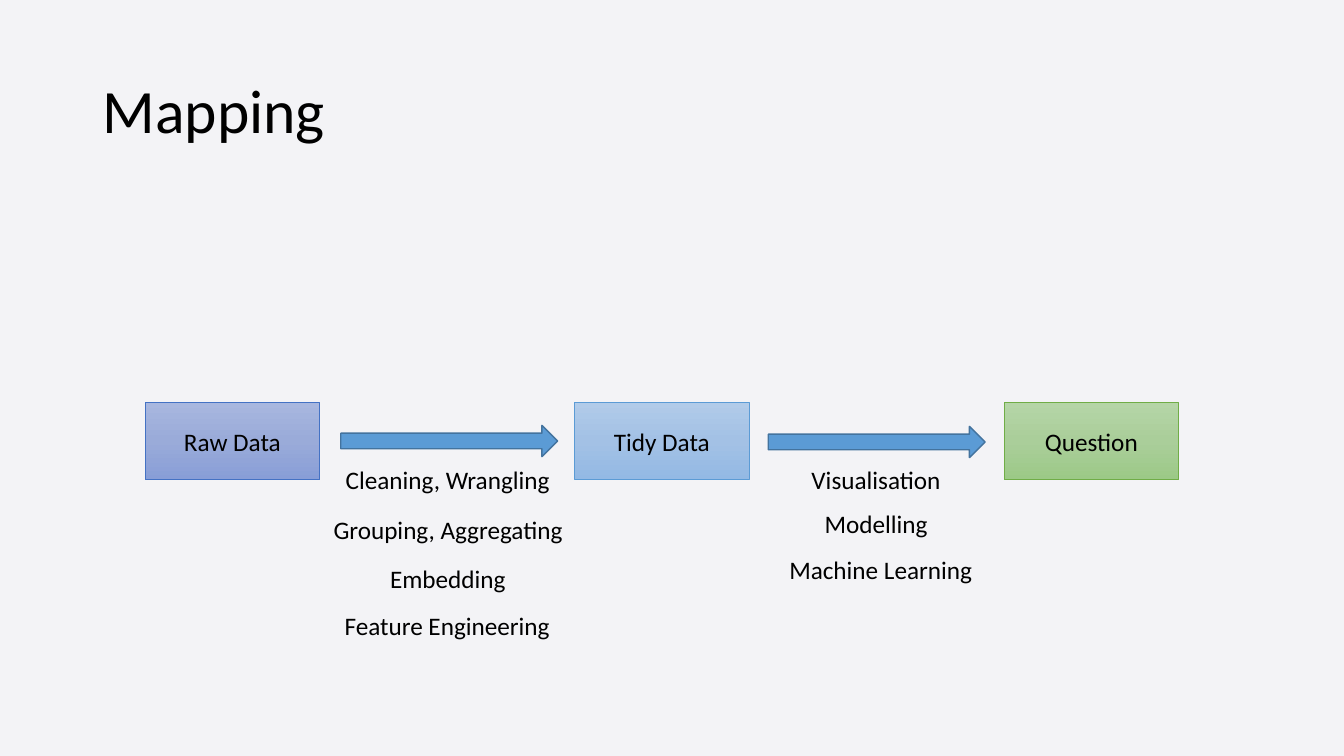
from copy import deepcopy
from dataclasses import dataclass

from pptx import Presentation
from pptx.dml.color import RGBColor
from pptx.enum.shapes import MSO_SHAPE
from pptx.enum.text import MSO_ANCHOR, MSO_AUTO_SIZE, PP_ALIGN
from pptx.oxml.ns import qn
from pptx.util import Inches, Pt

RECT, ARROW = MSO_SHAPE.RECTANGLE, MSO_SHAPE.RIGHT_ARROW
MIDDLE, LEFT, CENTER = MSO_ANCHOR.MIDDLE, PP_ALIGN.LEFT, PP_ALIGN.CENTER
FIT_SHAPE = MSO_AUTO_SIZE.SHAPE_TO_FIT_TEXT


@dataclass(frozen=True)
class Theme:
    """Colours, font and type sizes of the slide."""
    font: str = "Calibri"
    title: int = 44
    body: int = 18
    background: str = "F3F3F6"
    text: str = "000000"
    arrow: str = "5B9BD5"
    arrow_line: str = "43739E"
    indigo: tuple = ("A8B7DF", "9AABD9", "889ED7", "4472C4")
    blue: tuple = ("B1CBE9", "A3C1E5", "93B9E4", "5B9BD5")
    green: tuple = ("B5D5A7", "AACE9A", "9CC987", "70AD47")


THEME = Theme()


def rgb(value):
    """Return a colour from its hex value."""
    return RGBColor.from_string(value)


def add_text(tf, text, size, align):
    """Write one run into the first paragraph and return the paragraph."""
    p = tf.paragraphs[0]
    p.alignment = align
    r = p.add_run()
    r.text = text
    r.font.name, r.font.size = THEME.font, Pt(size)
    r.font.color.rgb = rgb(THEME.text)
    return p


def add_title(slide, text):
    """Add the slide title."""
    s = slide.shapes.add_textbox(Inches(0.92), Inches(0.4), Inches(11.5), Inches(1.45))
    tf = s.text_frame
    tf.word_wrap = True
    tf.vertical_anchor = MIDDLE
    add_text(tf, text, THEME.title, LEFT).line_spacing = 0.9


def add_shape(slide, kind, box, line, weight):
    """Add a flat preset shape with an outline."""
    s = slide.shapes.add_shape(kind, *map(Inches, box))
    s.shadow.inherit = False
    s.line.color.rgb = rgb(line)
    s.line.width = Pt(weight)
    return s


def fill_gradient(s, colours):
    """Fill a shape from top to bottom with evenly spaced colours."""
    s.fill.gradient()
    s.fill.gradient_angle = 270
    first = next(s._element.iter(qn("a:gs")))
    first.addnext(deepcopy(first))
    for i, (stop, colour) in enumerate(zip(s.fill.gradient_stops, colours)):
        stop.position = i / (len(colours) - 1)
        stop.color.rgb = rgb(colour)


def add_stage(slide, left, text, palette):
    """Add one stage box of the flow."""
    *colours, line = palette
    s = add_shape(slide, RECT, (left, 3.99, 1.73, 0.77), line, 0.5)
    fill_gradient(s, colours)
    s.text_frame.vertical_anchor = MIDDLE
    add_text(s.text_frame, text, THEME.body, CENTER)


def add_arrow(slide, left, top):
    """Add a block arrow between two stages."""
    s = add_shape(slide, ARROW, (left, top, 2.15, 0.31), THEME.arrow_line, 1)
    s.fill.solid()
    s.fill.fore_color.rgb = rgb(THEME.arrow)


def add_label(slide, left, top, width, text):
    """Add a one-line label under an arrow."""
    s = slide.shapes.add_textbox(*map(Inches, (left, top, width, 0.4)))
    tf = s.text_frame
    tf.word_wrap = False
    tf.auto_size = FIT_SHAPE
    add_text(tf, text, THEME.body, LEFT)


def main():
    """Build and save the slide."""
    prs = Presentation()
    prs.slide_width, prs.slide_height = Inches(13.33), Inches(7.5)
    slide = prs.slides.add_slide(prs.slide_layouts[6])
    slide.background.fill.solid()
    slide.background.fill.fore_color.rgb = rgb(THEME.background)

    add_title(slide, "Mapping")
    stages = [
        ("Raw Data", THEME.indigo),
        ("Tidy Data", THEME.blue),
        ("Question", THEME.green),
    ]
    for i, (text, palette) in enumerate(stages):
        add_stage(slide, 1.44 + i * 4.26, text, palette)
    for left, top in [(3.38, 4.22), (7.62, 4.23)]:
        add_arrow(slide, left, top)
    labels = [
        (3.33, 4.56, 2.25, "Cleaning, Wrangling"),
        (3.21, 5.05, 2.5, "Grouping, Aggregating"),
        (3.77, 5.54, 1.36, "Embedding"),
        (3.32, 6.01, 2.26, "Feature Engineering"),
        (7.95, 4.56, 1.5, "Visualisation"),
        (8.08, 4.99, 1.24, "Modelling"),
        (7.73, 5.45, 2.04, "Machine Learning"),
    ]
    for label in labels:
        add_label(slide, *label)
    prs.save("out.pptx")


if __name__ == "__main__":
    main()
